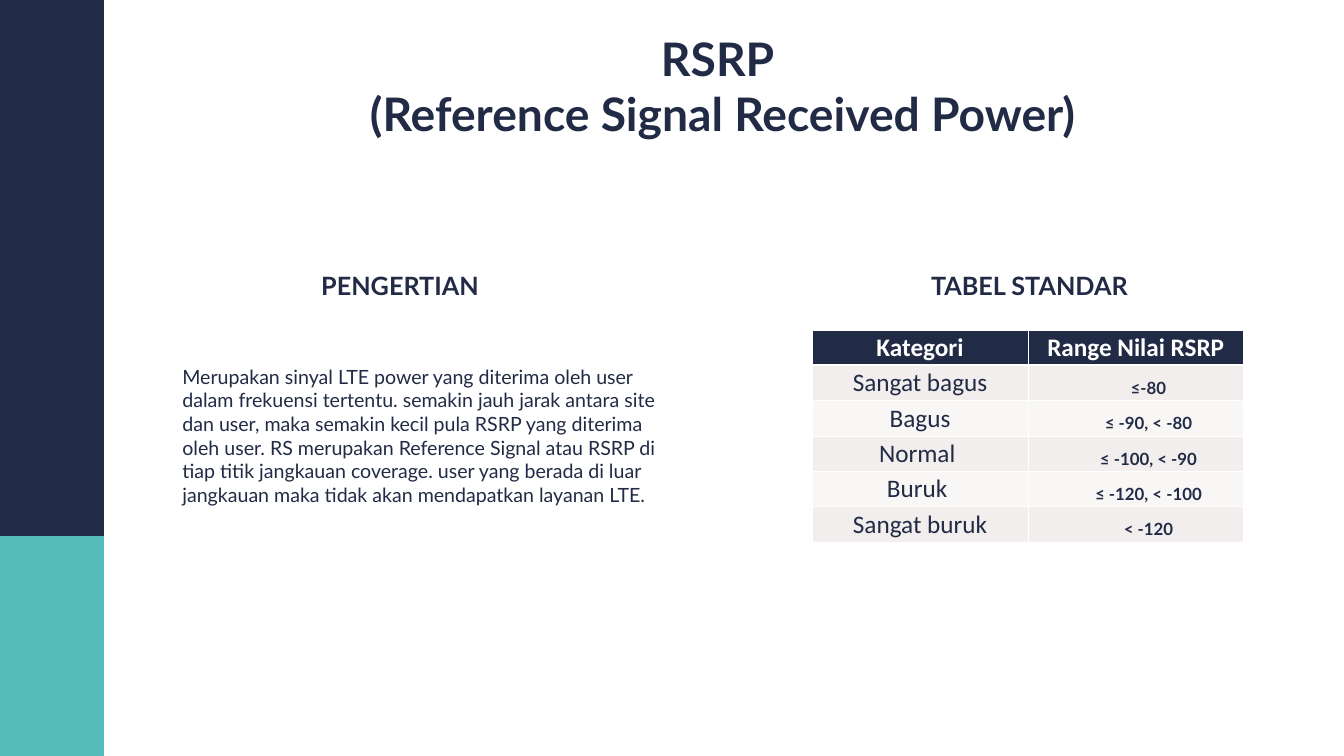
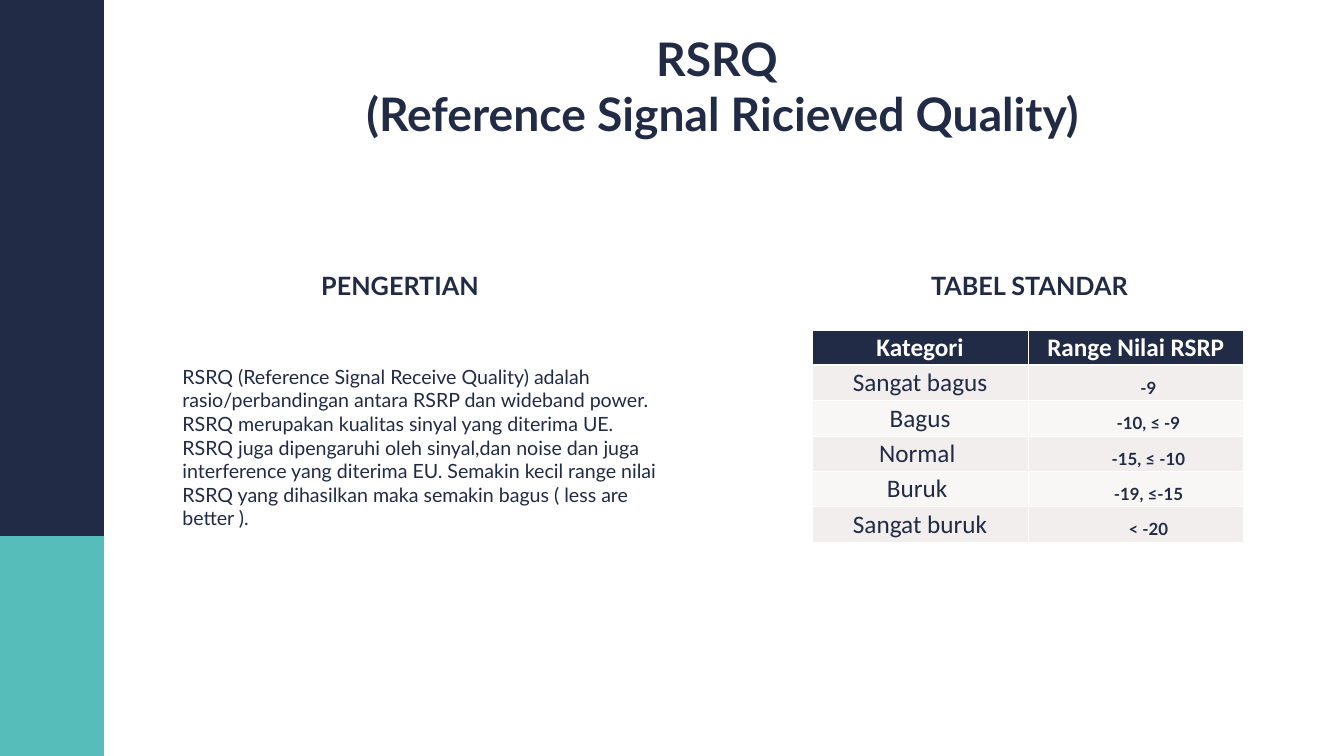
from lxml.etree import SubElement
from pptx import Presentation
from pptx.dml.color import RGBColor
from pptx.enum.shapes import MSO_SHAPE
from pptx.enum.text import MSO_ANCHOR, MSO_AUTO_SIZE, PP_ALIGN
from pptx.oxml.ns import qn
from pptx.util import Pt

COLORS = {
    "navy": "222B45",
    "teal": "57BDBA",
    "white": "FFFFFF",
    "band_dark": "F1EEED",
    "band_light": "F8F7F6",
}
HEADING_FONT = "Lato"
TABLE_FONT = "Calibri"
SLIDE_W, SLIDE_H = 1919.5, 1080
BAR_W, NAVY_H = 148.3, 766.1
HEADING_TOP, HEADING_H = 383, 51.1
ROW_H, COL_W = 50.4, 308.2
CATEGORIES = ["Sangat bagus", "Bagus", "Normal ", "Buruk ", "Sangat buruk"]

SLIDES = [
    {
        "title": ["RSRP ", "(Reference Signal Received Power)"],
        "definition": (
            "Merupakan sinyal LTE power yang diterima oleh user dalam frekuensi "
            "tertentu. semakin jauh jarak antara site dan user, maka semakin kecil "
            "pula RSRP yang diterima oleh user. RS merupakan Reference Signal atau "
            "RSRP di tiap titik jangkauan coverage. user yang berada di luar "
            "jangkauan maka tidak akan mendapatkan layanan LTE."
        ),
        "definition_h": 211,
        "ranges": ["≤-80", "≤ -90, < -80", "≤ -100, < -90", "≤ -120, < -100", "< -120"],
    },
    {
        "title": ["RSRQ ", "(Reference Signal Ricieved Quality)"],
        "definition": (
            "RSRQ (Reference Signal Receive Quality) adalah rasio/perbandingan "
            "antara RSRP dan wideband power. RSRQ merupakan kualitas sinyal yang "
            "diterima UE. RSRQ juga dipengaruhi oleh sinyal,dan noise dan juga "
            "interference yang diterima EU. Semakin kecil range nilai RSRQ yang "
            "dihasilkan maka semakin bagus ( less are better )."
        ),
        "definition_h": 244.8,
        "ranges": ["-9", "-10, ≤ -9", "-15, ≤ -10", "-19, ≤-15", "< -20"],
    },
]


def rgb(name):
    return RGBColor.from_string(COLORS[name])


def add_run(p, text, size, bold=False, color="navy", font=HEADING_FONT):
    r = p.add_run()
    r.text = text
    r.font.size = Pt(size)
    r.font.bold = bold
    r.font.name = font
    r.font.color.rgb = rgb(color)


def set_indent(p, points):
    pPr = p._p.get_or_add_pPr()
    pPr.set("marL", str(Pt(points)))
    pPr.set("indent", "0")


def add_bar(slide, top, height, color):
    sp = slide.shapes.add_shape(MSO_SHAPE.RECTANGLE, 0, Pt(top), Pt(BAR_W), Pt(height))
    sp.shadow.inherit = False
    sp.fill.solid()
    sp.fill.fore_color.rgb = rgb(color)
    sp.line.fill.background()


def set_title(slide, lines):
    sp = slide.shapes.title
    sp.left, sp.top, sp.width, sp.height = Pt(210.2), Pt(39.6), Pt(1643.8), Pt(167)
    tf = sp.text_frame
    tf.auto_size = MSO_AUTO_SIZE.NONE
    tf.vertical_anchor = MSO_ANCHOR.TOP
    p = tf.paragraphs[0]
    p.alignment = PP_ALIGN.CENTER
    for i, line in enumerate(lines):
        if i:
            p.add_line_break()
        add_run(p, line, 66, bold=True)


def add_text(slide, left, top, width, height, text, size, bold=False,
             align=PP_ALIGN.LEFT, indent=0):
    sp = slide.shapes.add_textbox(Pt(left), Pt(top), Pt(width), Pt(height))
    tf = sp.text_frame
    tf.word_wrap = True
    p = tf.paragraphs[0]
    p.alignment = align
    if indent:
        set_indent(p, indent)
    add_run(p, text, size, bold)


def set_borders(cell, top, bottom):
    tcPr = cell._tc.get_or_add_tcPr()
    for tag, width in (("a:lnL", 1), ("a:lnR", 1), ("a:lnT", top), ("a:lnB", bottom)):
        ln = SubElement(tcPr, qn(tag), w=str(Pt(width)))
        fill = SubElement(ln, qn("a:solidFill"))
        SubElement(fill, qn("a:srgbClr"), val=COLORS["white"])


def add_standard_table(slide, ranges):
    rows = [("Kategori", "Range Nilai RSRP"), *zip(CATEGORIES, ranges)]
    table = slide.shapes.add_table(
        len(rows), 2, Pt(1159.9), Pt(471.6), Pt(2 * COL_W), Pt(len(rows) * ROW_H)
    ).table
    for col in table.columns:
        col.width = Pt(COL_W)
    for i, row in enumerate(rows):
        table.rows[i].height = Pt(ROW_H)
        band = "navy" if i == 0 else "band_dark" if i % 2 else "band_light"
        for j, text in enumerate(row):
            cell = table.cell(i, j)
            cell.margin_left = cell.margin_right = Pt(5.4)
            set_borders(cell, 3 if i == 1 else 1, 3 if i == 0 else 1)
            cell.fill.solid()
            cell.fill.fore_color.rgb = rgb(band)
            p = cell.text_frame.paragraphs[0]
            p.alignment = PP_ALIGN.CENTER
            if i == 0:
                add_run(p, text, 36, True, "white", TABLE_FONT)
            elif j == 0:
                add_run(p, text, 36, font=TABLE_FONT)
            else:
                cell.vertical_anchor = MSO_ANCHOR.MIDDLE
                p.line_spacing = 1.5
                set_indent(p, 36)
                add_run(p, text, 24, bold=True)


def add_metric_slide(prs, metric):
    slide = prs.slides.add_slide(prs.slide_layouts[5])
    add_bar(slide, 0, NAVY_H, "navy")
    add_bar(slide, NAVY_H, SLIDE_H - NAVY_H, "teal")
    set_title(slide, metric["title"])
    add_text(slide, 253.4, 517.7, 706.3, metric["definition_h"], metric["definition"], 28)
    add_text(slide, 224.6, HEADING_TOP, 621.4, HEADING_H, "PENGERTIAN", 36, True,
             PP_ALIGN.CENTER, 72)
    add_text(slide, 1322.6, HEADING_TOP, 310.3, HEADING_H, "TABEL STANDAR", 36, True)
    add_standard_table(slide, metric["ranges"])


def main():
    prs = Presentation()
    prs.slide_width, prs.slide_height = Pt(SLIDE_W), Pt(SLIDE_H)
    for metric in SLIDES:
        add_metric_slide(prs, metric)
    prs.save("out.pptx")


if __name__ == "__main__":
    main()
